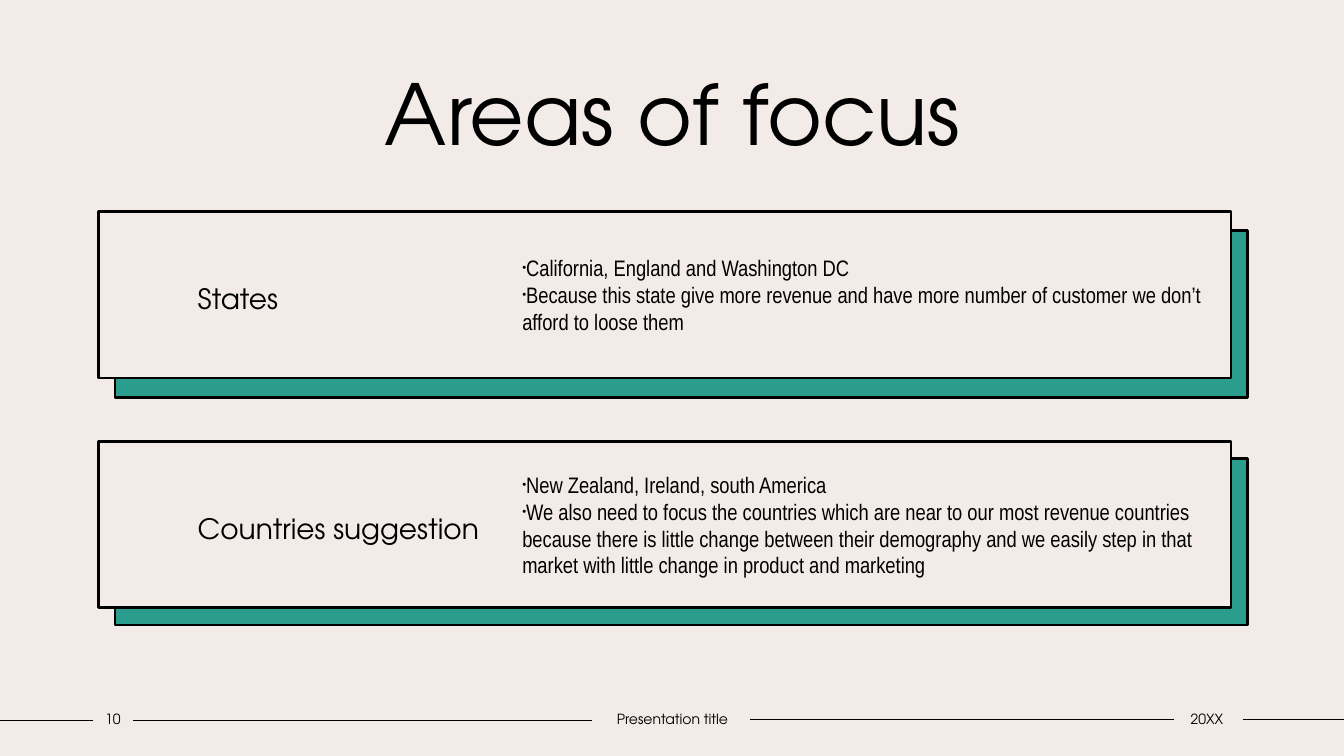
from lxml import etree
from pptx import Presentation
from pptx.dml.color import RGBColor
from pptx.enum import shapes, text
from pptx.oxml import ns
from pptx.util import Inches, Pt

# Content
TITLE = "Areas of focus"
AREAS = [
    ("States", [
        "California, England and Washington DC",
        "Because this state give more revenue and have more number of customer "
        "we don’t afford to loose them",
    ]),
    ("Countries suggestion", [
        "New Zealand, Ireland, south America",
        "We also need to focus the countries which are near to our most revenue "
        "countries because there is little change between their demography and we "
        "easily step in that market with little change in product and marketing",
    ]),
]
FOOTERS = [("10", 0.92, 0.4), ("Presentation title", 5.87, 1.6), ("20XX", 11.62, 0.7)]
FOOTER_LINES = [(0, 0.92, 7.15), (1.32, 5.87, 7.15), (7.44, 11.64, 7.14), (12.33, 13.33, 7.14)]

# Style
CREAM = RGBColor(0xF3, 0xEB, 0xE8)
TEAL = RGBColor(0x2A, 0x9D, 0x8F)
BLACK = RGBColor(0, 0, 0)
HEADING_FONT = "TeX Gyre Adventor"
BODY_FONT = "Arial Narrow"

# Card geometry in inches
CARD_LEFT, CARD_WIDTH, CARD_HEIGHT = 0.98, 11.23, 1.65
CARD_TOP, CARD_PITCH = 2.1, 2.28
BACKING_LEFT, BACKING_TOP, BACKING_PITCH = 1.14, 2.29, 2.26
LIST_LEFT, LIST_WIDTH, LIST_INSET = 5.08, 7.01, 0.1


def place(shape, left, top, width, height):
    shape.left, shape.top = Inches(left), Inches(top)
    shape.width, shape.height = Inches(width), Inches(height)


def set_frame(shape, left=0.1, right=0.1):
    frame = shape.text_frame
    frame.word_wrap = True
    frame.auto_size = text.MSO_AUTO_SIZE.NONE
    frame.vertical_anchor = text.MSO_ANCHOR.MIDDLE
    frame.margin_left, frame.margin_right = Inches(left), Inches(right)
    frame.margin_top = frame.margin_bottom = Inches(0.05)
    return frame


def write(paragraph, words, size, font=HEADING_FONT, align=text.PP_ALIGN.LEFT, spacing=1.0):
    paragraph.alignment = align
    paragraph.line_spacing = spacing
    paragraph.space_before = paragraph.space_after = Pt(0)
    run = paragraph.add_run()
    run.text = words
    run.font.size, run.font.name = Pt(size), font
    run.font.bold = False
    run.font.color.rgb = BLACK


def add_bullet(paragraph):
    properties = paragraph._p.get_or_add_pPr()
    properties.set("marL", "0")
    properties.set("indent", str(Inches(-0.15)))
    for tag, name, value in [("a:buSzPct", "val", "50000"),
                             ("a:buFont", "typeface", "Arial"),
                             ("a:buChar", "char", "•")]:
        etree.SubElement(properties, ns.qn(tag)).set(name, value)


def style_box(shape, fill):
    shape.fill.solid()
    shape.fill.fore_color.rgb = fill
    shape.line.color.rgb = BLACK
    shape.line.width = Pt(2)


def bring_to_front(shape):
    slide.shapes._spTree.append(shape._element)


presentation = Presentation()
presentation.slide_width, presentation.slide_height = Inches(13.33), Inches(7.5)
slide = presentation.slides.add_slide(presentation.slide_layouts.get_by_name("Comparison"))
slide.background.fill.solid()
slide.background.fill.fore_color.rgb = CREAM
title, *bodies = slide.placeholders

# Footer lines
for start, end, y in FOOTER_LINES:
    line = slide.shapes.add_connector(
        shapes.MSO_CONNECTOR.STRAIGHT, Inches(start), Inches(y), Inches(end), Inches(y))
    line.line.color.rgb = BLACK
    line.line.width = Pt(1)
    etree.SubElement(line._element.spPr, ns.qn("a:effectLst"))

# Title
place(title, 1.25, 0.56, 10.84, 1.11)
write(set_frame(title).paragraphs[0], TITLE, 60, align=text.PP_ALIGN.CENTER)
bring_to_front(title)

# Cards: teal backing, heading box, bullet list
for row, (heading, points) in enumerate(AREAS):
    backing = slide.shapes.add_shape(
        shapes.MSO_SHAPE.RECTANGLE, Inches(BACKING_LEFT),
        Inches(BACKING_TOP + row * BACKING_PITCH), Inches(CARD_WIDTH), Inches(CARD_HEIGHT))
    backing.shadow.inherit = False
    style_box(backing, TEAL)

    card, details = bodies[2 * row:2 * row + 2]
    top = CARD_TOP + row * CARD_PITCH
    place(card, CARD_LEFT, top, CARD_WIDTH, CARD_HEIGHT)
    style_box(card, CREAM)
    write(set_frame(card, 0.98, 7.1).paragraphs[0], heading, 20, spacing=1.2)
    bring_to_front(card)

    place(details, LIST_LEFT, top + LIST_INSET, LIST_WIDTH, CARD_HEIGHT - 2 * LIST_INSET)
    frame = set_frame(details)
    for number, point in enumerate(points):
        paragraph = frame.add_paragraph() if number else frame.paragraphs[0]
        write(paragraph, point, 16, BODY_FONT)
        add_bullet(paragraph)
    bring_to_front(details)

# Footer texts
for words, left, width in FOOTERS:
    footer = slide.shapes.add_textbox(Inches(left), Inches(7), Inches(width), Inches(0.27))
    write(set_frame(footer, 0, 0).paragraphs[0], words, 10, align=text.PP_ALIGN.CENTER)

presentation.save("out.pptx")
